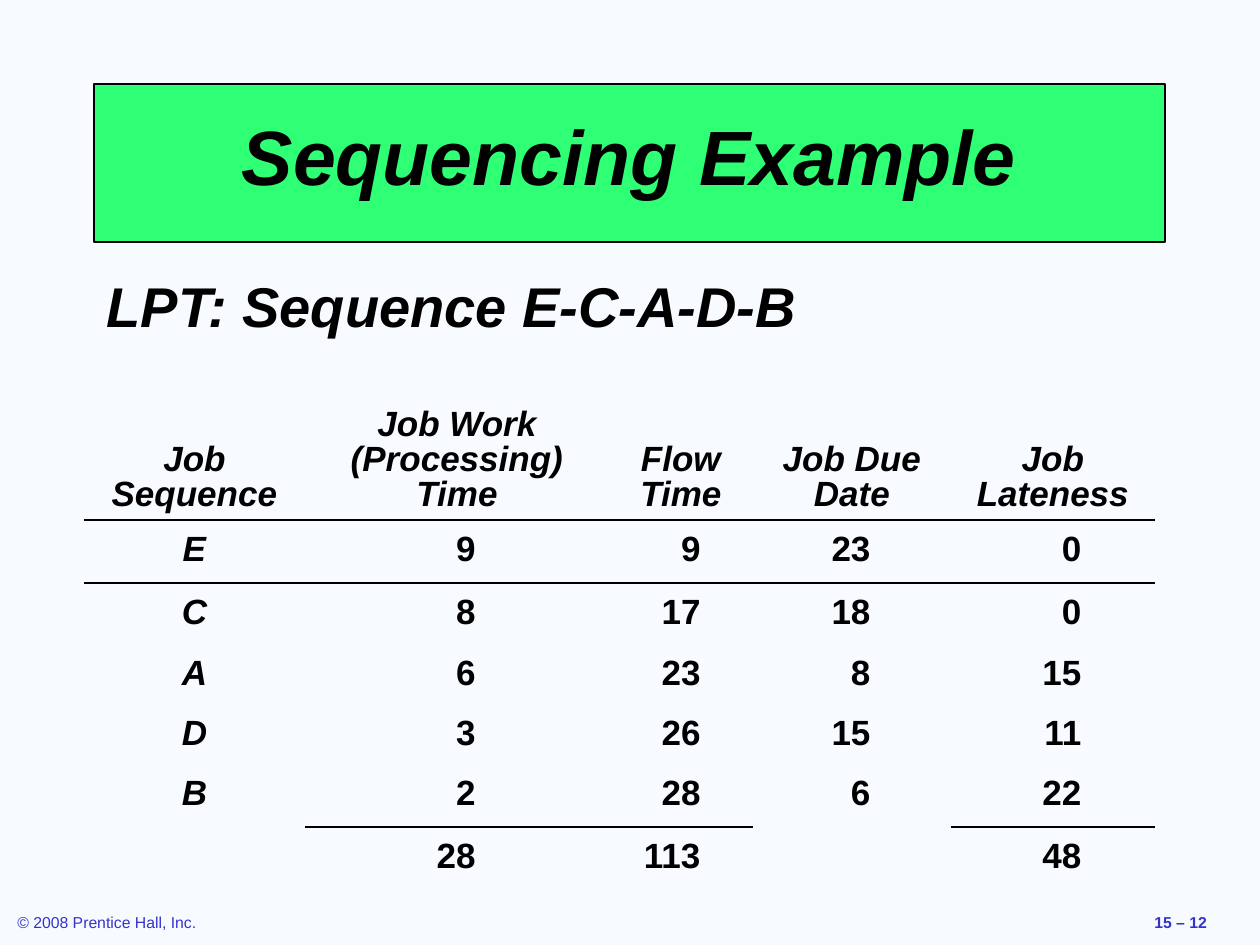
from dataclasses import dataclass

from lxml.etree import SubElement
from pptx import Presentation
from pptx.dml.color import RGBColor
from pptx.enum.text import MSO_ANCHOR, MSO_AUTO_SIZE, PP_ALIGN
from pptx.oxml import parse_xml
from pptx.oxml.ns import nsdecls, qn
from pptx.util import Emu, Pt

PX = 914400 // 126
BLACK = "000000"
BLUE = "3333CC"
NO_STYLE = "{2D5ABB26-0587-4C30-8999-92F81FD0307C}"


@dataclass
class Column:
    heading: str
    width: int
    values: list[str]
    tab: int = 0  # right tab stop for numbers; 0 centres the values
    total: str = ""


@dataclass
class Footer:
    text: str
    left: int
    width: int
    bold: bool


COLUMNS = [
    Column("Job Sequence", 221, ["E", "C", "A", "D", "B"]),
    Column("Job Work (Processing) Time", 304, ["9", "8", "6", "3", "2"], 158, "28"),
    Column("Flow Time", 144, ["9", "17", "23", "26", "28"], 79, "113"),
    Column("Job Due Date", 198, ["23", "18", "8", "15", "6"], 105),
    Column("Job Lateness", 204, ["0", "0", "15", "11", "22"], 118, "48"),
]
ROW_HEIGHTS = [126, 63, 62, 61, 58, 63, 62]
FOOTERS = [
    Footer("© 2008 Prentice Hall, Inc.", 5, 204, False),
    Footer("15 – 12", 1142, 136, True),
]


def px(length: int) -> Emu:
    return Emu(length * PX)


def color(value: str) -> RGBColor:
    return RGBColor.from_string(value)


def place(shape, left: int, top: int, width: int, height: int) -> None:
    shape.left, shape.top = px(left), px(top)
    shape.width, shape.height = px(width), px(height)


def style(paragraph, size: int, bold: bool = True, italic: bool = True,
          value: str = BLACK) -> None:
    font = paragraph.font
    font.name, font.size = "Arial", Pt(size)
    font.bold, font.italic = bold, italic
    font.color.rgb = color(value)


def add_border(cell, side: str, width: float) -> None:
    """Rule one side of a cell; side is "lnT" or "lnB"."""
    cell._tc.get_or_add_tcPr().insert(0, parse_xml(
        f'<a:{side} {nsdecls("a")} w="{Pt(width)}"><a:solidFill>'
        f'<a:srgbClr val="{BLACK}"/></a:solidFill></a:{side}>'))


def fill_cell(cell, text: str, anchor: MSO_ANCHOR, tab: int = 0) -> None:
    cell.fill.background()
    cell.vertical_anchor = anchor
    if not text:
        return
    paragraph = cell.text_frame.paragraphs[0]
    paragraph.text = "\t" + text if tab else text
    if tab:
        tabs = SubElement(paragraph._p.get_or_add_pPr(), qn("a:tabLst"))
        SubElement(tabs, qn("a:tab"), pos=str(px(tab)), algn="r")
    else:
        paragraph.alignment = PP_ALIGN.CENTER
    paragraph.line_spacing = 0.9
    style(paragraph, 20, italic=not tab)


def format_title(title) -> None:
    place(title, 94, 84, 1071, 158)
    title.fill.solid()
    title.fill.fore_color.rgb = color("2FFF74")
    title.line.color.rgb = color(BLACK)
    title.line.width = Pt(0.75)
    title.text_frame.text = "Sequencing Example"
    title.text_frame.auto_size = MSO_AUTO_SIZE.NONE
    title.text_frame.vertical_anchor = MSO_ANCHOR.MIDDLE
    paragraph = title.text_frame.paragraphs[0]
    paragraph.alignment = PP_ALIGN.CENTER
    paragraph.line_spacing = 0.8
    style(paragraph, 44)


def format_body(body) -> None:
    place(body, 94, 273, 1071, 567)
    body.text_frame.text = "LPT: Sequence E-C-A-D-B"
    body.text_frame.auto_size = MSO_AUTO_SIZE.NONE
    paragraph = body.text_frame.paragraphs[0]
    properties = paragraph._p.get_or_add_pPr()
    properties.set("marL", str(px(48)))
    properties.set("indent", str(px(-48)))
    SubElement(properties, qn("a:buNone"))
    paragraph.line_spacing = 0.9
    paragraph.space_before = Pt(0)
    style(paragraph, 32)


def add_job_table(slide) -> None:
    width = sum(column.width for column in COLUMNS)
    frame = slide.shapes.add_table(len(ROW_HEIGHTS), len(COLUMNS), px(84), px(394),
                                   px(width), px(sum(ROW_HEIGHTS)))
    table = frame.table
    table.first_row = table.horz_banding = False
    table._tbl.tblPr.find(qn("a:tableStyleId")).text = NO_STYLE
    for row, height in zip(table.rows, ROW_HEIGHTS):
        row.height = px(height)

    total_row = len(ROW_HEIGHTS) - 1
    for index, column in enumerate(COLUMNS):
        table.columns[index].width = px(column.width)
        fill_cell(table.cell(0, index), column.heading, MSO_ANCHOR.BOTTOM)
        for row, text in enumerate([*column.values, column.total], start=1):
            fill_cell(table.cell(row, index), text, MSO_ANCHOR.MIDDLE, column.tab)
        rules = [(1, 1.47)] + ([(total_row, 1.08)] if column.total else [])
        for row, line_width in rules:
            add_border(table.cell(row - 1, index), "lnB", line_width)
            add_border(table.cell(row, index), "lnT", line_width)


def add_footer(slide, footer: Footer) -> None:
    box = slide.shapes.add_textbox(px(footer.left), px(907), px(footer.width), px(32))
    box.text_frame.word_wrap = False
    box.text_frame.auto_size = MSO_AUTO_SIZE.SHAPE_TO_FIT_TEXT
    paragraph = box.text_frame.paragraphs[0]
    paragraph.text = footer.text
    style(paragraph, 9, footer.bold, False, BLUE)


def main() -> None:
    presentation = Presentation()
    presentation.slide_width, presentation.slide_height = px(1260), px(945)
    slide = presentation.slides.add_slide(presentation.slide_layouts[1])
    slide.background.fill.solid()
    slide.background.fill.fore_color.rgb = color("F7FBFF")
    format_title(slide.shapes.title)
    format_body(slide.placeholders[1])
    add_job_table(slide)
    for footer in FOOTERS:
        add_footer(slide, footer)
    presentation.save("out.pptx")


if __name__ == "__main__":
    main()
